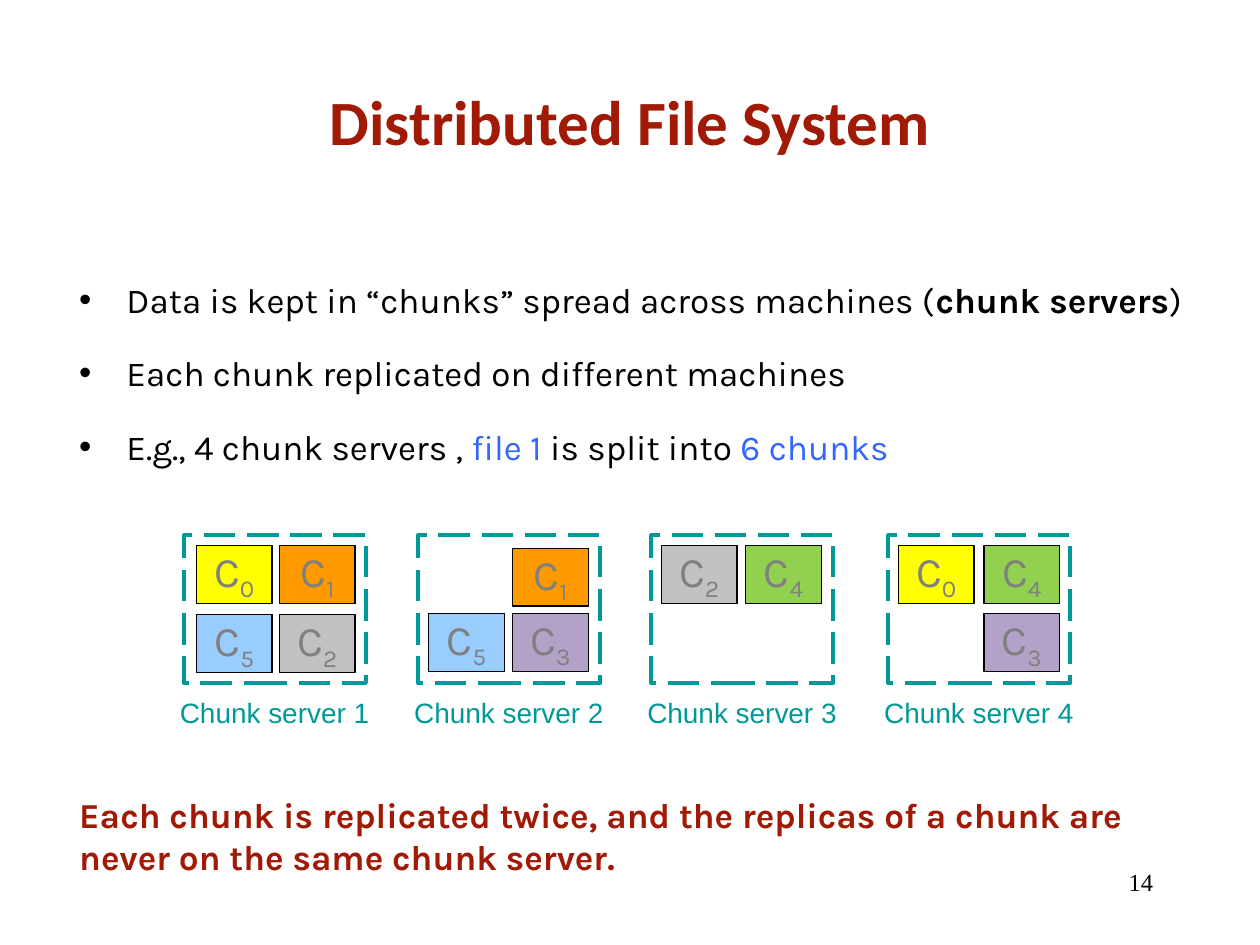
from dataclasses import dataclass

from lxml import etree
from pptx import Presentation
from pptx.dml.color import RGBColor
from pptx.enum.dml import MSO_LINE
from pptx.enum.shapes import MSO_SHAPE
from pptx.enum.text import MSO_ANCHOR, PP_ALIGN
from pptx.oxml.ns import qn
from pptx.util import Pt

LEFT, CENTER, RIGHT = PP_ALIGN.LEFT, PP_ALIGN.CENTER, PP_ALIGN.RIGHT
TOP, MIDDLE = MSO_ANCHOR.TOP, MSO_ANCHOR.MIDDLE
RECTANGLE = MSO_SHAPE.RECTANGLE
LONG_DASH = MSO_LINE.LONG_DASH


@dataclass(frozen=True)
class Theme:
    heading: str = "Calibri"
    body: str = "Karla"
    label: str = "Arial"
    number: str = "Times New Roman"
    title_size: int = 36
    body_size: int = 20
    chunk_size: int = 24
    label_size: int = 16
    number_size: int = 14
    black: str = "000000"
    accent: str = "A01A06"
    highlight: str = "3366FF"
    server: str = "009999"
    chunk_text: str = "808080"
    # Fill of each chunk, by chunk number
    chunks: tuple = ("FFFF00", "FF9900", "C1C1C1", "B3A2C7", "92D050", "99CCFF")


THEME = Theme()

# Each span: text, bold, colour
BULLETS = [
    [("Data is kept in “chunks” spread across machines (", False, THEME.black),
     ("chunk servers", True, THEME.black),
     (")", False, THEME.black)],
    [("Each chunk replicated on different machines", False, THEME.black)],
    [("E.g., 4 chunk servers , ", False, THEME.black),
     ("file 1", False, THEME.highlight),
     (" is split into ", False, THEME.black),
     ("6 chunks", False, THEME.highlight)],
]

# Each server: left edge, then chunks as number, x and y within the server
SERVER_TOP, SERVER_WIDTH, SERVER_HEIGHT = 306, 104, 84.3
CHUNK_WIDTH, CHUNK_HEIGHT = 43.2, 33.1
SERVERS = [
    (105.1, [(0, 7.2, 5.7), (1, 54.7, 5.7), (5, 7.2, 45.2), (2, 54.7, 45.2)]),
    (239, [(1, 54, 7.3), (5, 6, 44.5), (3, 54, 44.5)]),
    (372.2, [(2, 5.8, 5.7), (4, 54, 5.7)]),
    (507.6, [(0, 5.8, 5.7), (4, 54.7, 5.7), (3, 54.7, 44.6)]),
]


def color(value):
    return RGBColor.from_string(value)


def set_font(font, name, size, value, bold=False):
    font.name, font.size, font.bold = name, Pt(size), bold
    font.color.rgb = color(value)


def add_text_frame(page, box, anchor=TOP, wrap=True):
    frame = page.shapes.add_textbox(*map(Pt, box)).text_frame
    frame.word_wrap, frame.vertical_anchor = wrap, anchor
    return frame


def add_text(page, box, text, font, align=LEFT, anchor=TOP, wrap=True):
    para = add_text_frame(page, box, anchor, wrap).paragraphs[0]
    para.text, para.alignment = text, align
    set_font(para.font, *font)


def add_bullets(page, box):
    frame = add_text_frame(page, box)
    for index, spans in enumerate(BULLETS):
        para = frame.add_paragraph() if index else frame.paragraphs[0]
        para.space_after = Pt(18)
        properties = para._p.get_or_add_pPr()
        properties.set("marL", str(Pt(27)))
        properties.set("indent", str(Pt(-27)))
        etree.SubElement(properties, qn("a:buFont")).set("typeface", THEME.label)
        etree.SubElement(properties, qn("a:buChar")).set("char", "•")
        para.font.name, para.font.size = THEME.body, Pt(THEME.body_size)
        for text, bold, value in spans:
            span = para.add_run()
            span.text, span.font.bold = text, bold
            span.font.color.rgb = color(value)


def add_rectangle(page, box, line, width):
    shape = page.shapes.add_shape(RECTANGLE, *map(Pt, box))
    shape.shadow.inherit = False
    shape.line.color.rgb = color(line)
    shape.line.width = Pt(width)
    return shape


def add_chunk(page, box, number):
    shape = add_rectangle(page, box, THEME.black, 0.75)
    shape.fill.solid()
    shape.fill.fore_color.rgb = color(THEME.chunks[number])
    frame = shape.text_frame
    frame.margin_left = frame.margin_right = 0
    frame.margin_top = frame.margin_bottom = 0
    frame.vertical_anchor = TOP
    para = frame.paragraphs[0]
    para.alignment = CENTER
    set_font(para.font, THEME.body, THEME.chunk_size, THEME.chunk_text)
    para.add_run().text = "C"
    subscript = para.add_run()
    subscript.text = str(number)
    subscript._r.get_or_add_rPr().set("baseline", "-25000")


def add_server(page, box, name, chunks):
    left, top, width, height = box
    outline = add_rectangle(page, box, THEME.server, 2.25)
    outline.fill.background()
    outline.line.dash_style = LONG_DASH
    add_text(page, (left - 9.4, top + height + 3.5, width + 19, 26.6), name,
             (THEME.label, THEME.label_size, THEME.server), wrap=False)
    for number, x, y in chunks:
        add_chunk(page, (left + x, top + y, CHUNK_WIDTH, CHUNK_HEIGHT), number)


def main():
    deck = Presentation()
    deck.slide_width, deck.slide_height = Pt(720), Pt(540)
    page = deck.slides.add_slide(deck.slide_layouts[6])

    # Title and bullets
    add_text(page, (54, 23.8, 612, 90), "Distributed File System",
             (THEME.heading, THEME.title_size, THEME.accent, True), CENTER, MIDDLE)
    add_bullets(page, (38.2, 155.5, 667.4, 130))

    # Chunk servers
    for index, (left, chunks) in enumerate(SERVERS, start=1):
        add_server(page, (left, SERVER_TOP, SERVER_WIDTH, SERVER_HEIGHT),
                   f"Chunk server {index}", chunks)

    # Conclusion and slide number
    add_text(page, (38.2, 450, 667.4, 58),
             "Each chunk is replicated twice, and the replicas of a chunk are "
             "never on the same chunk server.",
             (THEME.body, THEME.body_size, THEME.accent, True))
    add_text(page, (516.2, 491.8, 149.8, 36), "14",
             (THEME.number, THEME.number_size, THEME.black), RIGHT)

    deck.save("out.pptx")


if __name__ == "__main__":
    main()
